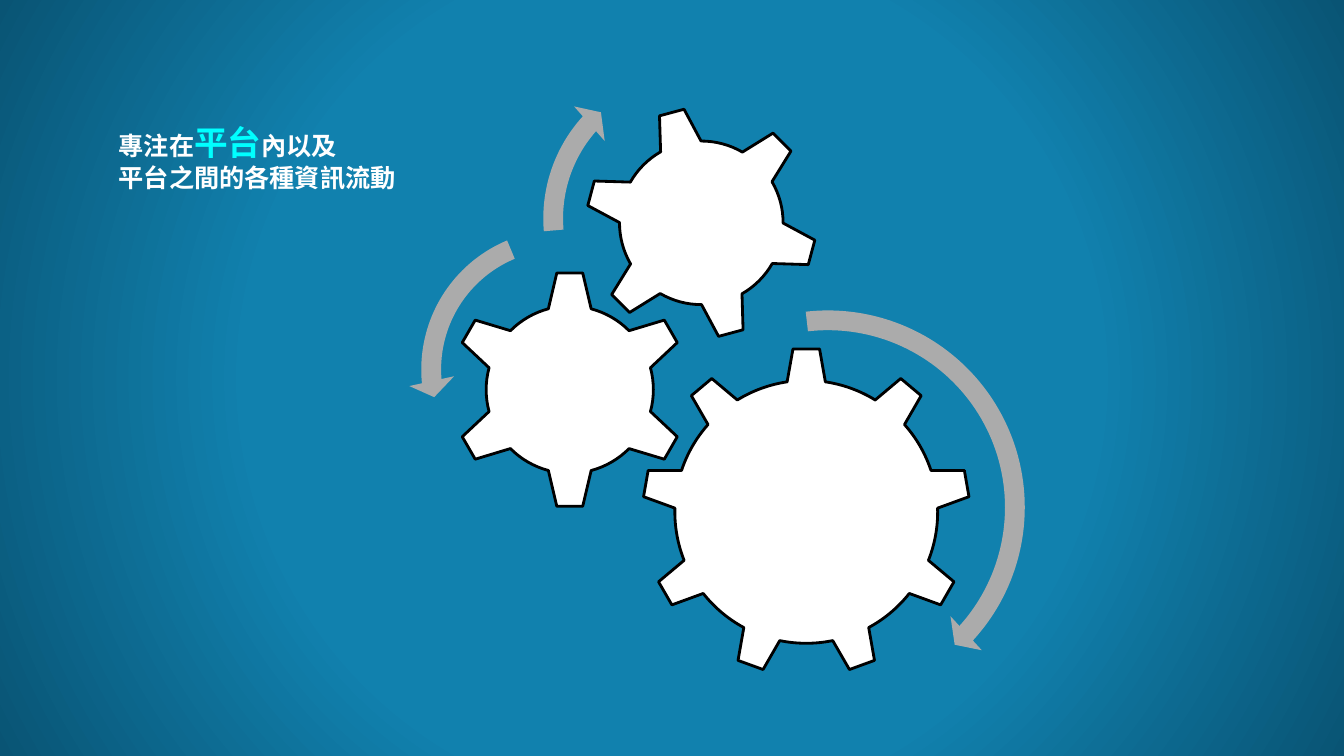
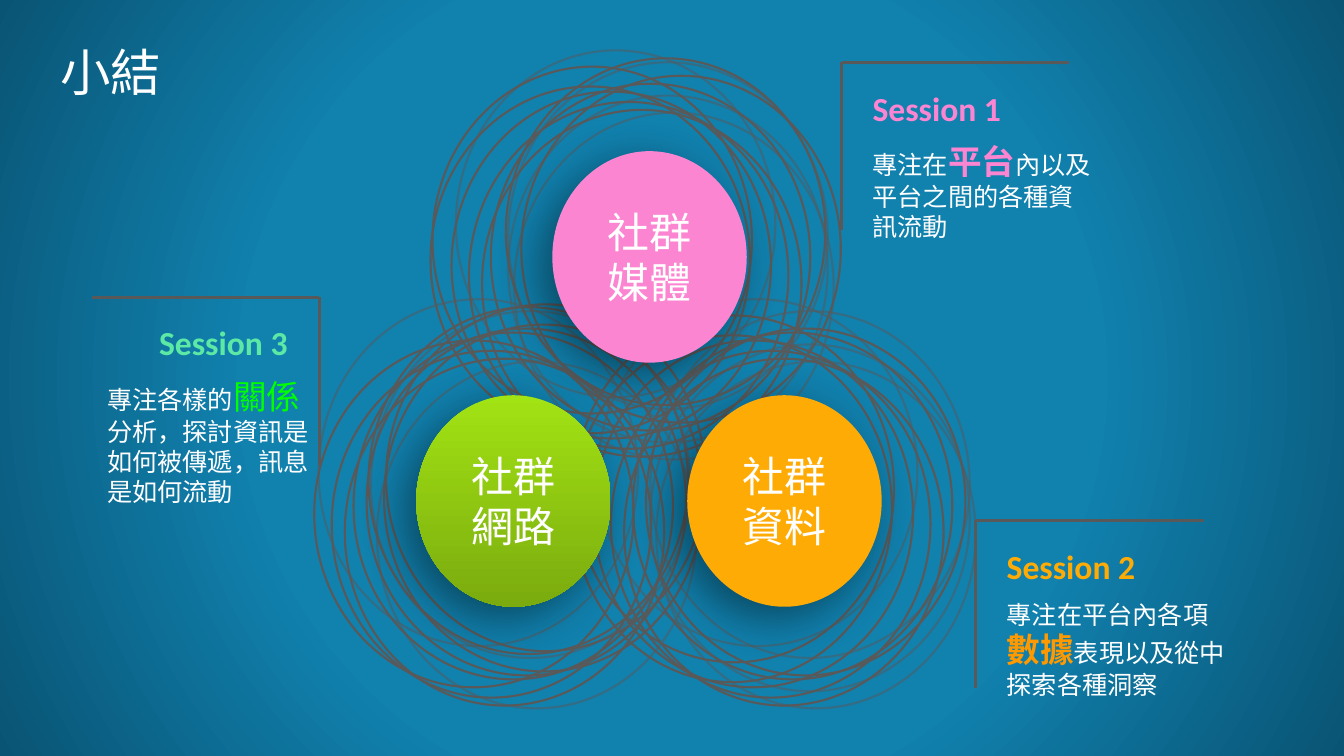
import pptx
import pptx.util
import pptx.dml.color
import pptx.enum.dml
import pptx.enum.shapes
import pptx.enum.text
import pptx.oxml
import pptx.oxml.ns
from lxml import etree

Cm = pptx.util.Cm
Pt = pptx.util.Pt
RGBColor = pptx.dml.color.RGBColor
SHAPE = pptx.enum.shapes.MSO_SHAPE
ALIGN = pptx.enum.text.PP_ALIGN
ANCHOR = pptx.enum.text.MSO_ANCHOR
qn = pptx.oxml.ns.qn

WHITE = RGBColor(0xFF, 0xFF, 0xFF)
BLACK = RGBColor(0x00, 0x00, 0x00)
SEA = RGBColor(0x11, 0x81, 0xAE)
DEEP_SEA = RGBColor(0x09, 0x54, 0x74)
SILVER = RGBColor(0xAB, 0xAB, 0xAB)
GRAPHITE = RGBColor(0x59, 0x59, 0x59)
CYAN = RGBColor(0x00, 0xFF, 0xFF)
PINK = RGBColor(0xFC, 0x85, 0xD1)
AMBER = RGBColor(0xFF, 0xAB, 0x06)
ORANGE = RGBColor(0xFF, 0x99, 0x00)
MINT = RGBColor(0x5C, 0xE8, 0xA5)
GREEN = RGBColor(0x00, 0xFF, 0x00)
LIME = RGBColor(0xA2, 0xE3, 0x13)
OLIVE = RGBColor(0x7B, 0xAB, 0x0F)

RING_SIZE = (8.05, 8.74)
TOPIC_SIZE = (4.9, 5.33)
SHARED_RINGS = [
    (1.52, 0.84, False), (0.64, 0, True), (1.96, 0.3, True), (1.3, 1.5, False),
    (0.97, 1.3, False), (0.53, 1.04, False), (2.11, 1.57, True),
]
RIGHT_LOW = (1.96, 1.14, True)
RIGHT_HIGH = (1.9, 0.2, False)
LEFT_LOW = (0, 0.91, False)
LEFT_HIGH = (0.05, 0.41, False)
FAR_RIGHT = (2.29, 0.64, False)
RIGHT_MIDDLE = (1.85, 0.74, False)
FAR_HIGH = (2.34, 0.13, False)


def paint_background(master):
    master.background.fill.solid()
    solid = master._element.find(".//" + qn("p:bgPr")).find(qn("a:solidFill"))
    stops = "".join(
        f'<a:gs pos="{place * 1000}"><a:srgbClr val="{color}"/></a:gs>'
        for place, color in ((0, SEA), (55, SEA), (100, DEEP_SEA))
    )
    gradient = pptx.oxml.parse_xml(
        f'<a:gradFill {pptx.oxml.ns.nsdecls("a")} rotWithShape="1"><a:gsLst>{stops}</a:gsLst>'
        '<a:path path="circle"><a:fillToRect l="50000" t="50000" r="50000" b="50000"/></a:path>'
        "</a:gradFill>"
    )
    solid.getparent().replace(solid, gradient)


def write_text(frame, paragraphs, *, size=18, color=WHITE, font="Arial", bold=False,
               align=ALIGN.LEFT, anchor=ANCHOR.TOP, inset=(0.25, 0.13)):
    frame.word_wrap = True
    frame.auto_size = pptx.enum.text.MSO_AUTO_SIZE.NONE
    frame.vertical_anchor = anchor
    frame.margin_left = frame.margin_right = Cm(inset[0])
    frame.margin_top = frame.margin_bottom = Cm(inset[1])
    for index, pieces in enumerate(paragraphs):
        paragraph = frame.paragraphs[0] if index == 0 else frame.add_paragraph()
        paragraph.alignment = align
        for piece in pieces:
            words, accent = piece if isinstance(piece, tuple) else (piece, {})
            run = paragraph.add_run()
            run.text = words
            run.font.name = font
            run.font.size = Pt(accent.get("size", size))
            run.font.bold = accent.get("bold", bold)
            run.font.color.rgb = accent.get("color", color)


def add_text(slide, left, top, width, height, paragraphs, **text_format):
    box = slide.shapes.add_textbox(Cm(left), Cm(top), Cm(width), Cm(height))
    write_text(box.text_frame, paragraphs, **text_format)


def add_figure(slide, kind, left, top, width, height, fill=None, line=None, weight=1.5):
    figure = slide.shapes.add_shape(kind, Cm(left), Cm(top), Cm(width), Cm(height))
    figure.shadow.inherit = False
    if fill is None:
        figure.fill.background()
    else:
        figure.fill.solid()
        figure.fill.fore_color.rgb = fill
    if line is None:
        figure.line.fill.background()
    else:
        figure.line.color.rgb = line
        figure.line.width = Pt(weight)
    return figure


def add_gear_train(slide, left, top):
    gears = [
        (SHAPE.GEAR_9, 6.18, 7.76, 8.28, 0),
        (SHAPE.GEAR_6, 1.35, 5.81, 6.02, 0),
        (SHAPE.GEAR_6, 4.73, 1.67, 5.89, 345),
    ]
    arrows = [
        (SHAPE.CIRCULAR_ARROW, 5.57, 6.49, 10.59, (0.047, 2.99, 25.393, 158.123, 0.055)),
        (SHAPE.LEFT_CIRCULAR_ARROW, 0.29, 4.46, 7.7, (0.065, 4.3, 104.891, 148.378, 0.075)),
        (SHAPE.CIRCULAR_ARROW, 3.36, 0.35, 8.31, (0.06, 3.941, 133.138, 105.082, 0.07)),
    ]
    for kind, x, y, size, turn in gears:
        gear = add_figure(slide, kind, left + x, top + y, size, size, WHITE, BLACK, 2)
        gear.rotation = turn
    for kind, x, y, size, bends in arrows:
        arrow = add_figure(slide, kind, left + x, top + y, size, size, SILVER)
        for index, bend in enumerate(bends):
            arrow.adjustments[index] = bend


def add_ring_cluster(slide, left, top, extra_rings):
    for x, y, faded in SHARED_RINGS + extra_rings:
        ring = add_figure(slide, SHAPE.OVAL, left + x, top + y, *RING_SIZE, line=GRAPHITE)
        if faded:
            tint = ring.line._ln.find(".//" + qn("a:srgbClr"))
            etree.SubElement(tint, qn("a:alpha"), val="50000")


def add_topic(slide, left, top, words, fill, fill_end=None):
    topic = add_figure(slide, SHAPE.OVAL, left, top, *TOPIC_SIZE, fill)
    if fill_end is not None:
        topic.fill.gradient()
        topic.fill.gradient_angle = 270
        for stop, color in zip(topic.fill.gradient_stops, (fill, fill_end)):
            stop.color.rgb = color
    effects = topic._element.spPr.find(qn("a:effectLst"))
    shadow = etree.SubElement(
        effects, qn("a:outerShdw"), blurRad=str(Pt(34)), dist=str(Pt(12)),
        dir=str(135 * 60000), algn="tr", rotWithShape="0")
    tint = etree.SubElement(shadow, qn("a:srgbClr"), val=str(BLACK))
    etree.SubElement(tint, qn("a:alpha"), val="44000")
    write_text(topic.text_frame, [[line] for line in words], size=30,
               align=ALIGN.CENTER, anchor=ANCHOR.MIDDLE, inset=(0, 0))


def add_rule(slide, start, end):
    rule = slide.shapes.add_connector(
        pptx.enum.shapes.MSO_CONNECTOR.STRAIGHT, *(Cm(v) for v in start + end))
    rule.line.color.rgb = GRAPHITE
    rule.line.width = Pt(2.25)
    etree.SubElement(rule._element.spPr, qn("a:effectLst"))


def add_session(slide, left, top, heading, color, body, body_size=(6.2, 2.64), mirrored=False):
    arm = -5.74 if mirrored else 5.74
    text_left = left + (-5.6 if mirrored else 0.53)
    add_rule(slide, (left, top), (left, top + 4.22))
    add_rule(slide, (left, top), (left + arm, top))
    add_text(slide, text_left, top + 1.85, *body_size, body)
    add_text(slide, text_left, top + 0.51, 5.05, 1.27, [[heading]], size=24, color=color,
             font="Calibri", bold=True, anchor=ANCHOR.BOTTOM,
             align=ALIGN.RIGHT if mirrored else ALIGN.LEFT)


def build_platform_slide(deck):
    slide = deck.slides.add_slide(deck.slide_layouts[6])
    add_gear_train(slide, 10, 1)
    add_text(slide, 2.74, 2.95, 8.97, 2.06, [
        ["專注在", ("平台", dict(size=24, color=CYAN)), "內以及"],
        ["平台之間的各種資訊流動"],
    ], font="Roboto", bold=True)


def build_summary_slide(deck):
    slide = deck.slides.add_slide(deck.slide_layouts[5])
    title = slide.shapes.title
    title.left, title.top, title.width, title.height = Cm(1.19), Cm(0.81), Cm(22.86), Cm(1.98)
    write_text(title.text_frame, [["小結"]], size=36, anchor=ANCHOR.MIDDLE, inset=(0.33, 0.18))

    add_ring_cluster(slide, 10.85, 1.27,
                     [RIGHT_LOW, RIGHT_HIGH, LEFT_LOW, LEFT_HIGH, FAR_RIGHT])
    add_ring_cluster(slide, 14.43, 7.54, [RIGHT_LOW, RIGHT_MIDDLE, LEFT_LOW, LEFT_HIGH])
    add_ring_cluster(slide, 7.39, 7.54, [RIGHT_MIDDLE, RIGHT_HIGH, FAR_RIGHT, FAR_HIGH])

    add_topic(slide, 13.92, 3.81, ("社群", "媒體"), PINK)
    add_topic(slide, 10.49, 9.96, ("社群", "網路"), LIME, OLIVE)
    add_topic(slide, 17.32, 9.96, ("社群", "資料"), AMBER)

    add_session(slide, 21.21, 1.57, "Session 1", PINK, [
        ["專注在", ("平台", dict(size=24, color=PINK, bold=True)), "內以及"],
        ["平台之間的各種資訊流動"],
    ])
    add_session(slide, 24.59, 13.11, "Session 2", AMBER, [
        ["專注在平台內各項"],
        [("數據", dict(size=24, color=ORANGE, bold=True)), "表現以及從中探索各種洞察"],
    ])
    add_session(slide, 8.05, 7.49, "Session 3", MINT, [
        ["專注各樣的", ("關係", dict(size=24, color=GREEN)),
         "分析，探討資訊是如何被傳遞，訊息是如何流動"],
    ], body_size=(5.74, 3.71), mirrored=True)


def main():
    deck = pptx.Presentation()
    deck.slide_width, deck.slide_height = Cm(33.87), Cm(19.05)
    paint_background(deck.slide_master)
    build_platform_slide(deck)
    build_summary_slide(deck)
    deck.save("out.pptx")


if __name__ == "__main__":
    main()
